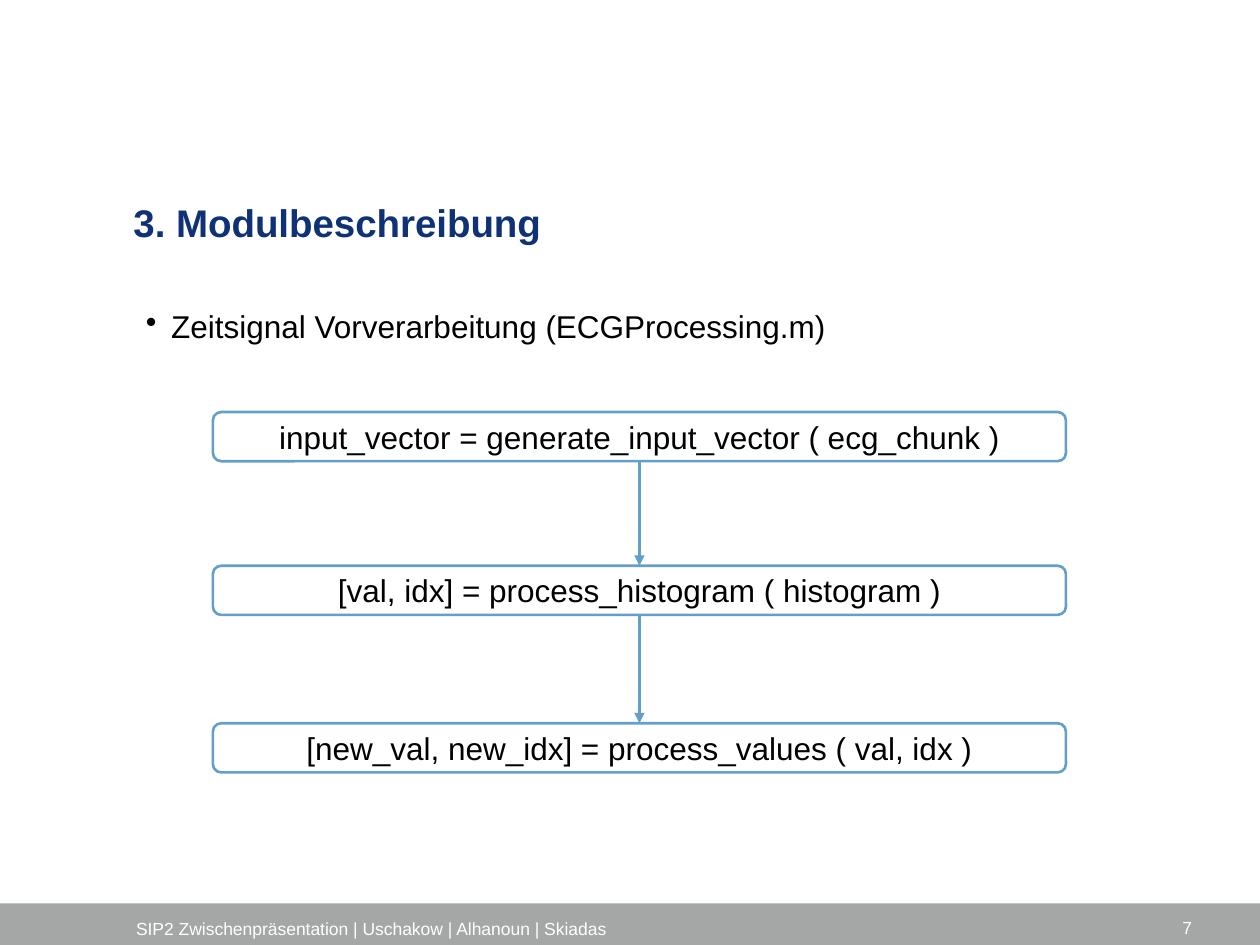
from dataclasses import dataclass
from itertools import pairwise

from lxml import etree
from pptx import Presentation
from pptx.dml.color import RGBColor
from pptx.enum.shapes import MSO_CONNECTOR, MSO_SHAPE
from pptx.enum.text import MSO_ANCHOR, PP_ALIGN
from pptx.oxml.ns import qn
from pptx.util import Inches, Pt

LEFT, CENTER, RIGHT = PP_ALIGN.LEFT, PP_ALIGN.CENTER, PP_ALIGN.RIGHT
TOP, MIDDLE, BOTTOM = MSO_ANCHOR.TOP, MSO_ANCHOR.MIDDLE, MSO_ANCHOR.BOTTOM
RECTANGLE, ROUNDED = MSO_SHAPE.RECTANGLE, MSO_SHAPE.ROUNDED_RECTANGLE
STRAIGHT = MSO_CONNECTOR.STRAIGHT
BOTTOM_SITE, TOP_SITE = 2, 0

SLIDE_WIDTH, SLIDE_HEIGHT = 10, 7.5
FOOTER_TOP = 7.17
STEP_LEFT, STEP_WIDTH, STEP_HEIGHT = 1.69, 6.77, 0.39
FLOW_BLUE, TITLE_BLUE = "649FCA", "0F3277"
FOOTER_GREY, BLACK, WHITE = "A4A7A6", "000000", "FFFFFF"


@dataclass
class Box:
    left: float
    top: float
    width: float
    height: float

    def lengths(self):
        return [Inches(n) for n in (self.left, self.top, self.width, self.height)]


@dataclass
class Label:
    text: str
    size: int
    color: str = BLACK
    bold: bool = False
    align: PP_ALIGN = LEFT
    anchor: MSO_ANCHOR = TOP
    margins: tuple = (0.1, 0.05)
    wrap: bool = True


@dataclass
class Step:
    call: str
    top: float


STEPS = [
    Step("input_vector = generate_input_vector ( ecg_chunk )", 3.27),
    Step("[val, idx] = process_histogram ( histogram )", 4.49),
    Step("[new_val, new_idx] = process_values ( val, idx )", 5.74),
]


def rgb(color: str) -> RGBColor:
    return RGBColor.from_string(color)


def write(shape, label: Label):
    frame = shape.text_frame
    frame.word_wrap = label.wrap
    frame.vertical_anchor = label.anchor
    frame.margin_left = frame.margin_right = Inches(label.margins[0])
    frame.margin_top = frame.margin_bottom = Inches(label.margins[1])
    paragraph = frame.paragraphs[0]
    paragraph.text = label.text
    paragraph.alignment = label.align
    font = paragraph.font
    font.name, font.size, font.bold = "Arial", Pt(label.size), label.bold
    font.color.rgb = rgb(label.color)
    return paragraph


def add_label(slide, box: Box, label: Label):
    return write(slide.shapes.add_textbox(*box.lengths()), label)


def add_bullet(paragraph, indent: float):
    properties = paragraph._p.get_or_add_pPr()
    properties.set("marL", str(Inches(indent)))
    properties.set("indent", str(-Inches(indent)))
    bullet = etree.Element(qn("a:buChar"), char="•")
    properties.insert_element_before(bullet, "a:tabLst", "a:defRPr", "a:extLst")


def add_footer_bar(slide):
    box = Box(0, FOOTER_TOP, SLIDE_WIDTH, SLIDE_HEIGHT - FOOTER_TOP)
    bar = slide.shapes.add_shape(RECTANGLE, *box.lengths())
    bar.shadow.inherit = False
    bar.fill.solid()
    bar.fill.fore_color.rgb = rgb(FOOTER_GREY)
    bar.line.fill.background()


def add_step(slide, step: Step):
    box = Box(STEP_LEFT, step.top, STEP_WIDTH, STEP_HEIGHT)
    shape = slide.shapes.add_shape(ROUNDED, *box.lengths())
    shape.shadow.inherit = False
    shape.fill.background()
    shape.line.color.rgb = rgb(FLOW_BLUE)
    shape.line.width = Pt(1.5)
    write(shape, Label(step.call, 18, align=CENTER, anchor=MIDDLE))
    return shape


def add_arrow(slide, source, target):
    arrow = slide.shapes.add_connector(STRAIGHT, 0, 0, 0, 0)
    arrow.begin_connect(source, BOTTOM_SITE)
    arrow.end_connect(target, TOP_SITE)
    arrow.line.color.rgb = rgb(FLOW_BLUE)
    arrow.line.width = Pt(1.5)
    etree.SubElement(arrow.line._get_or_add_ln(), qn("a:tailEnd"), type="triangle")
    etree.SubElement(arrow._element.spPr, qn("a:effectLst"))


def main():
    presentation = Presentation()
    presentation.slide_width = Inches(SLIDE_WIDTH)
    presentation.slide_height = Inches(SLIDE_HEIGHT)
    slide = presentation.slides.add_slide(presentation.slide_layouts[6])

    add_footer_bar(slide)
    title = add_label(slide, Box(1.06, 1.54, 8.43, 0.87),
                      Label("3. Modulbeschreibung", 22, TITLE_BLUE, bold=True, margins=(0, 0)))
    topic = add_label(slide, Box(1.06, 2.36, 8.4, 3.94),
                      Label("Zeitsignal Vorverarbeitung (ECGProcessing.m)", 18))
    title.line_spacing = topic.line_spacing = 1.1
    add_bullet(topic, 0.2)

    shapes = [add_step(slide, step) for step in STEPS]
    for source, target in pairwise(shapes):
        add_arrow(slide, source, target)

    add_label(slide, Box(1.08, 7.25, 5.65, 0.2),
              Label("SIP2 Zwischenpräsentation | Uschakow | Alhanoun | Skiadas", 10, WHITE,
                    anchor=BOTTOM, margins=(0, 0), wrap=False))
    add_label(slide, Box(7.23, 7.16, 2.33, 0.4),
              Label("7", 10, WHITE, align=RIGHT, anchor=MIDDLE))
    presentation.save("out.pptx")


if __name__ == "__main__":
    main()
